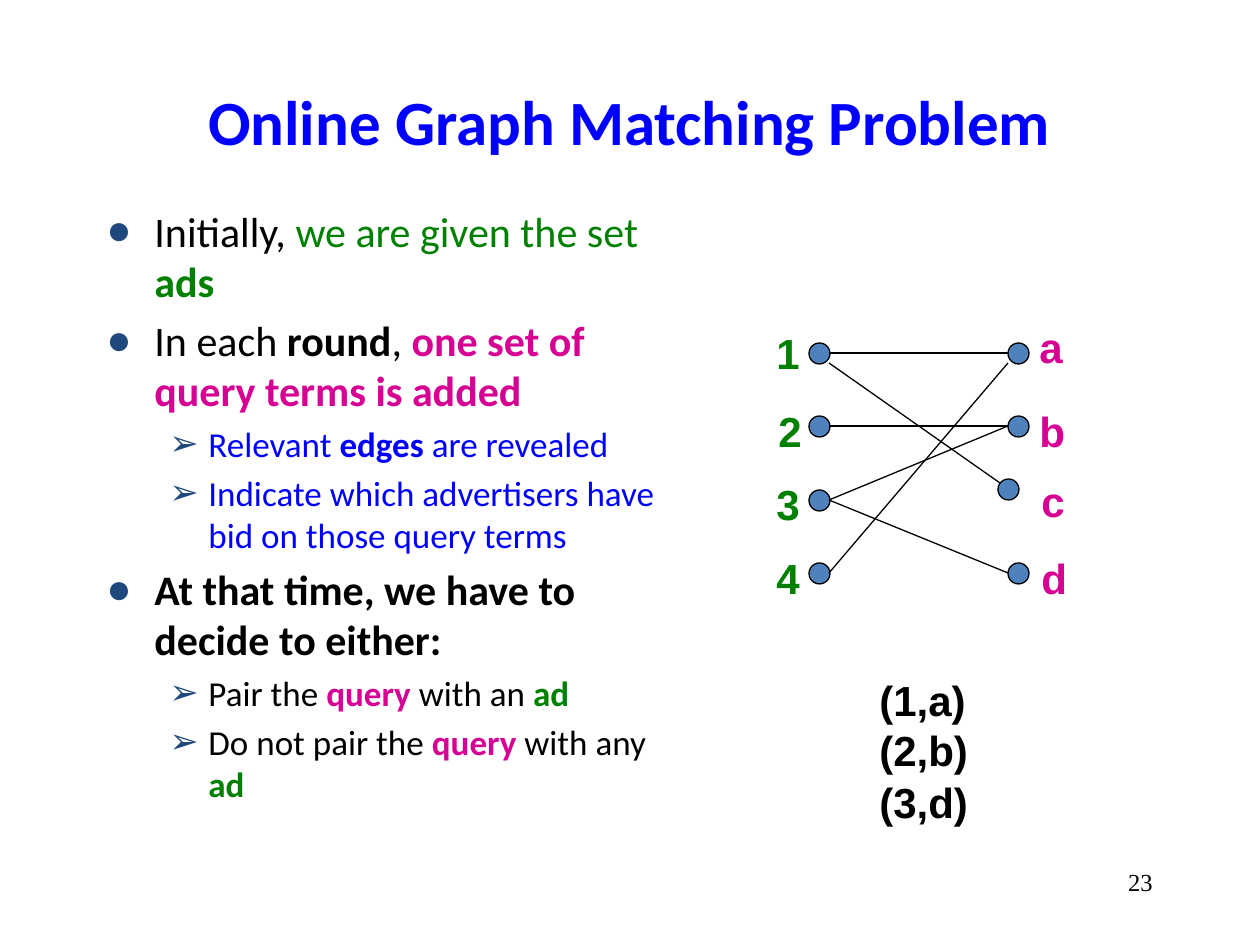
from dataclasses import dataclass

from lxml import etree
from pptx import Presentation
from pptx.dml.color import RGBColor
from pptx.enum.shapes import MSO_CONNECTOR, MSO_SHAPE
from pptx.enum.text import MSO_ANCHOR, PP_ALIGN
from pptx.oxml.ns import qn
from pptx.util import Pt

OVAL = MSO_SHAPE.OVAL
STRAIGHT = MSO_CONNECTOR.STRAIGHT
TOP, MIDDLE = MSO_ANCHOR.TOP, MSO_ANCHOR.MIDDLE
LEFT, CENTER, RIGHT = PP_ALIGN.LEFT, PP_ALIGN.CENTER, PP_ALIGN.RIGHT
EMU_PER_PX = 914400 / 126


@dataclass(frozen=True)
class Theme:
    """Colours, fonts and type sizes of the slide."""
    black: str = "000000"
    blue: str = "0000FF"
    green: str = "008000"
    pink: str = "D60093"
    bullet: str = "1F497D"
    node: str = "4F81BD"
    body_font: str = "Calibri"
    label_font: str = "Arial"
    bullet_font: str = "Arial"
    number_font: str = "Times New Roman"
    title_size: int = 36
    body_sizes: tuple = (24, 20)
    label_size: int = 24
    number_size: int = 14
    line_width: float = 0.75


T = Theme()
BULLETS = ("●", "➢")
INDENTS = ((48, -48), (102, -39))
SPACE_BEFORE = (4.8, 4)

BODY = [
    (0, [("Initially, ", T.black, False), ("we are given the set", T.green, False),
         (" ads", T.green, True)]),
    (0, [("In each ", T.black, False), ("round", T.black, True), (", ", T.black, False),
         ("one set of query terms is added", T.pink, True)]),
    (1, [("Relevant ", T.blue, False), ("edges", T.blue, True),
         (" are revealed", T.blue, False)]),
    (1, [("Indicate which advertisers have bid on those query terms", T.blue, False)]),
    (0, [("At that time, we have to decide to either:", T.black, True)]),
    (1, [("Pair the ", T.black, False), ("query ", T.pink, True),
         ("with an ", T.black, False), ("ad", T.green, True)]),
    (1, [("Do not pair the ", T.black, False), ("query ", T.pink, True),
         ("with any ", T.black, False), ("ad", T.green, True)]),
]

NODE = 21
AD_X = 809
AD_TOPS = [343 + 147 * i // 2 for i in range(4)]
AD_LABELS = [("1", 764, 321), ("2", 766, 399), ("3", 764, 472), ("4", 764, 546)]
QUERIES = [
    (("a", 1027, 315), (1008, 343), [(829, 353, 1008, 353), (829, 573, 1008, 363)]),
    (("b", 1027, 399), (1008, 416), [(829, 426, 1008, 426), (829, 500, 1008, 426)]),
    (("c", 1029, 469), (998, 479), [(829, 363, 1000, 483)]),
    (("d", 1029, 546), (1008, 563), [(829, 500, 1008, 573)]),
]
PAIRS = [("(1,a)", 668), ("(2,b)", 718), ("(3,d)", 770)]


def px(*values):
    """Turn px lengths into a list of EMU."""
    return [round(v * EMU_PER_PX) for v in values]


def rgb(color):
    """Return the colour object of a hex string."""
    return RGBColor.from_string(color)


def add_run(p, text, font, size, color, bold=False):
    """Append one styled run to a paragraph."""
    r = p.add_run()
    r.text = text
    r.font.name = font
    r.font.size = Pt(size)
    r.font.bold = bold
    r.font.color.rgb = rgb(color)


def add_frame(shapes, box, anchor=TOP):
    """Add a wrapping text box and return its text frame."""
    tf = shapes.add_textbox(*px(*box)).text_frame
    tf.word_wrap = True
    tf.vertical_anchor = anchor
    return tf


def add_text(shapes, box, text, font, size, color, bold=False, align=LEFT, anchor=TOP):
    """Add a text box holding a single run."""
    p = add_frame(shapes, box, anchor).paragraphs[0]
    p.alignment = align
    add_run(p, text, font, size, color, bold)


def add_label(shapes, text, x, y, color, width=43, height=50):
    """Add a bold label of the graph."""
    add_text(shapes, (x, y, width, height), text, T.label_font, T.label_size, color, True)


def set_bullet(p, level):
    """Give a paragraph the bullet and indent of its level."""
    pPr = p._p.get_or_add_pPr()
    margin, indent = px(*INDENTS[level])
    pPr.set("marL", str(margin))
    pPr.set("indent", str(indent))
    color = etree.SubElement(pPr, qn("a:buClr"))
    etree.SubElement(color, qn("a:srgbClr")).set("val", T.bullet)
    etree.SubElement(pPr, qn("a:buFont")).set("typeface", T.bullet_font)
    etree.SubElement(pPr, qn("a:buChar")).set("char", BULLETS[level])


def add_body(shapes, box):
    """Add the bulleted text."""
    tf = add_frame(shapes, box)
    for i, (level, runs) in enumerate(BODY):
        p = tf.add_paragraph() if i else tf.paragraphs[0]
        set_bullet(p, level)
        p.level = level
        if i:
            p.space_before = Pt(SPACE_BEFORE[level])
        for text, color, bold in runs:
            add_run(p, text, T.body_font, T.body_sizes[level], color, bold)


def style_line(line):
    """Set the thin black line of nodes and edges."""
    line.color.rgb = rgb(T.black)
    line.width = Pt(T.line_width)


def add_node(shapes, x, y):
    """Add one round graph node."""
    sp = shapes.add_shape(OVAL, *px(x, y, NODE, NODE))
    sp.shadow.inherit = False
    sp.fill.solid()
    sp.fill.fore_color.rgb = rgb(T.node)
    style_line(sp.line)


def add_edge(shapes, ends):
    """Add one straight graph edge."""
    cxn = shapes.add_connector(STRAIGHT, *px(*ends))
    style_line(cxn.line)
    etree.SubElement(cxn._element.spPr, qn("a:effectLst"))


def add_query(shapes, label, node, edges):
    """Add a query node grouped with its edges and label."""
    members = shapes.add_group_shape().shapes
    add_node(members, *node)
    for ends in edges:
        add_edge(members, ends)
    add_label(members, *label, T.pink)


def main():
    """Build the slide and save it."""
    prs = Presentation()
    prs.slide_width, prs.slide_height = px(1260, 945)
    s = prs.slides.add_slide(prs.slide_layouts[6])
    shapes = s.shapes
    add_text(shapes, (94, 41, 1071, 158), "Online Graph Matching Problem",
             T.body_font, T.title_size, T.blue, True, CENTER, MIDDLE)
    add_body(shapes, (94, 199, 588, 640))
    add_text(shapes, (903, 861, 262, 63), "23",
             T.number_font, T.number_size, T.black, align=RIGHT)
    for top in AD_TOPS:
        add_node(shapes, AD_X, top)
    for label in AD_LABELS:
        add_label(shapes, *label, T.green)
    for query in QUERIES:
        add_query(shapes, *query)
    for text, y in PAIRS:
        add_label(shapes, text, 867, y, T.black, width=116, height=63)
    prs.save("out.pptx")


if __name__ == "__main__":
    main()
